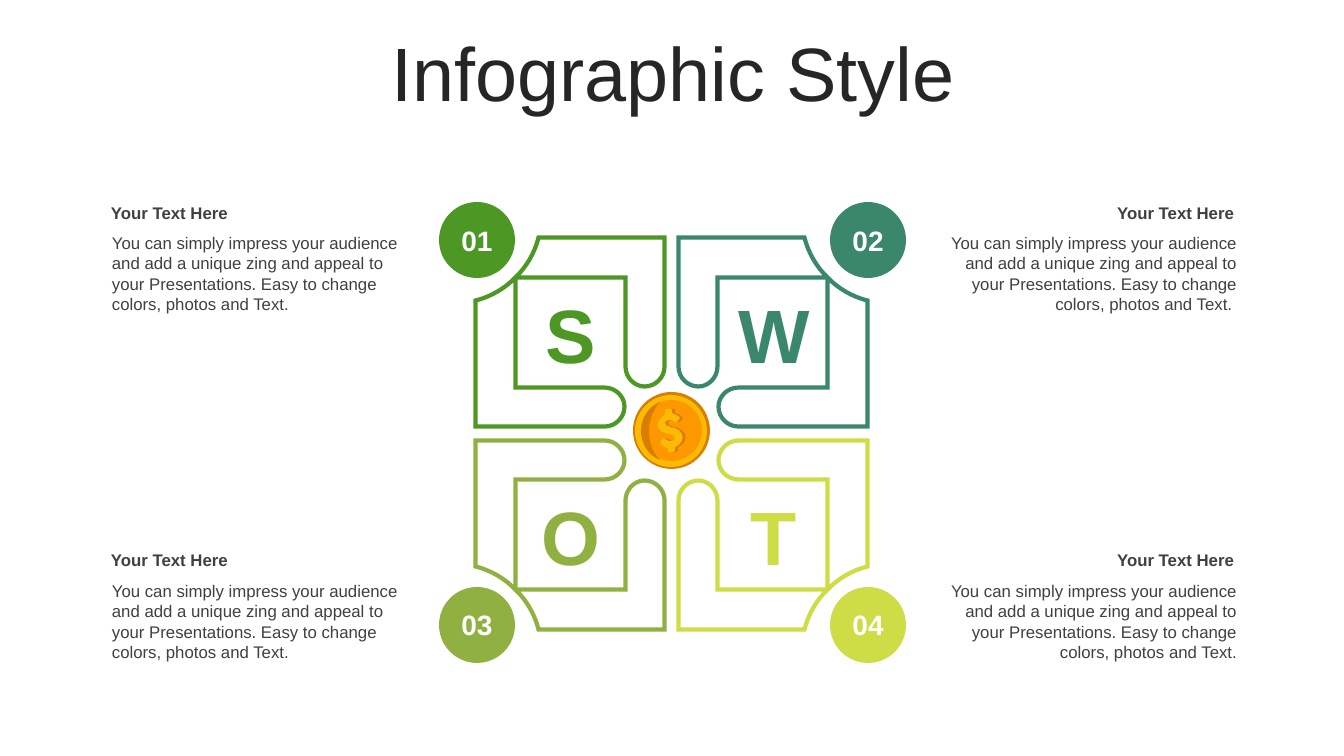
from lxml.etree import SubElement
from pptx import Presentation
from pptx.dml.color import RGBColor
from pptx.enum.shapes import MSO_SHAPE
from pptx.enum.text import MSO_ANCHOR, PP_ALIGN
from pptx.oxml.ns import qn
from pptx.util import Pt

PX = 914400 / 100.8
GREEN, TEAL, OLIVE, LIME = "4D9724", "3A876B", "90B141", "CEDD46"
DARK_GOLD, GOLD, ORANGE = "DA7D00", "FBBA03", "FD9801"
BODY = ("You can simply impress your audience and add a unique zing and appeal "
        "to your Presentations. Easy to change colors, photos and Text.")

prs = Presentation()
prs.slide_width, prs.slide_height = round(1344 * PX), round(756 * PX)
s = prs.slides.add_slide(prs.slide_layouts[6])


def add_text(box, text, size, color, bold=False, align=PP_ALIGN.CENTER,
             anchor=MSO_ANCHOR.TOP, wrap=True):
    left, top, width, height = (round(n * PX) for n in box)
    tf = s.shapes.add_textbox(left, top, width, height).text_frame
    tf.word_wrap = wrap
    tf.vertical_anchor = anchor
    p = tf.paragraphs[0]
    p.alignment = align
    r = p.add_run()
    r.text = text
    r.font.name = "Arial"
    r.font.size = Pt(size)
    r.font.bold = bold
    r.font.color.rgb = RGBColor.from_string(color)
    return p


def add_outline(contours, fill, line=None):
    builder = None
    for contour in contours:
        points = [(round(x * PX), round(y * PX)) for seg in contour for x, y in seg]
        if builder is None:
            builder = s.shapes.build_freeform(*points[0])
        else:
            builder.move_to(*points[0])
        builder.add_line_segments(points[1:], close=True)
    sp = builder.convert_to_shape()
    path = next(sp._element.iter(qn("a:path")))
    steps = iter([step for step in path if step.tag != qn("a:close")])
    for seg in (seg for contour in contours for seg in contour):
        first = next(steps)
        if len(seg) == 3:
            first.tag = qn("a:cubicBezTo")
            for step in (next(steps), next(steps)):
                first.append(step[0])
                path.remove(step)
    sp.shadow.inherit = False
    sp.fill.solid()
    sp.fill.fore_color.rgb = RGBColor.from_string(fill)
    if line is None:
        sp.line.fill.background()
    else:
        sp.line.color.rgb = RGBColor.from_string(line)
        sp.line.width = Pt(3)
        SubElement(sp.line._ln, qn("a:miter"), lim="800000")


title = add_text((35, 37, 1276, 80), "Infographic Style", 54, "262626",
                 anchor=MSO_ANCHOR.MIDDLE)
title.line_spacing = 0.9

discs = [
    (439, 202, 76, GREEN), (830, 202, 76, TEAL),
    (439, 587, 76, OLIVE), (830, 587, 76, LIME),
    (633, 392, 77, DARK_GOLD), (635, 395, 72, GOLD), (641, 400, 61, ORANGE),
]
for x, y, size, color in discs:
    disc = s.shapes.add_shape(MSO_SHAPE.OVAL, *(round(n * PX) for n in (x, y, size, size)))
    disc.shadow.inherit = False
    disc.fill.solid()
    disc.fill.fore_color.rgb = RGBColor.from_string(color)
    disc.line.fill.background()

blade = [
    [(7, 196)], [(7, 67)],
    [(7, 56), (16, 47), (27, 47)], [(37, 47), (46, 56), (46, 67)],
    [(46, 156)], [(156, 156)],
    [(145, 167), (137, 180), (133, 196)],
]
mirrored_blade = [[(v, u) for u, v in seg] for seg in blade]

quadrants = [
    ("01", "S", GREEN, -1, -1, BODY), ("02", "W", TEAL, 1, -1, BODY + " "),
    ("03", "O", OLIVE, -1, 1, BODY), ("04", "T", LIME, 1, 1, BODY),
]
for number, letter, color, side, level, body in quadrants:
    frame = [[[(671.5 + side * u, 433.5 + level * v) for u, v in seg] for seg in half]
             for half in (blade, mirrored_blade)]
    add_outline(frame, "FFFFFF", color)

    right, bottom = side > 0, level > 0
    add_text((835 if right else 444, 603 if bottom else 219, 66, 44), number, 20,
             "FFFFFF", bold=True)
    add_text((729 if right else 526, 484 if bottom else 282, 90, 102), letter, 54,
             color, bold=True, anchor=MSO_ANCHOR.MIDDLE, wrap=False)

    align = PP_ALIGN.RIGHT if right else PP_ALIGN.LEFT
    add_text((938 if right else 101, 545 if bottom else 198, 306, 30),
             "Your Text Here", 12, "404040", bold=True, align=align)
    add_text((939 if right else 102, 576 if bottom else 228, 308, 92), body, 12,
             "404040", align=align)

dollar = [
    [(19, 40)],
    [(19, 38), (19, 38), (21, 37)], [(25, 35), (28, 30), (26, 25)],
    [(25, 22), (22, 21), (19, 19)], [(17, 19), (14, 18), (12, 17)],
    [(11, 17), (9, 16), (9, 14)], [(9, 13), (10, 12), (12, 11)],
    [(14, 10), (16, 11), (17, 12)], [(19, 14), (20, 14), (22, 12)],
    [(24, 9), (25, 9), (22, 7)], [(21, 6), (19, 5), (18, 5)],
    [(17, 5), (16, 4), (16, 3)], [(16, 1), (16, 0), (15, 0)], [(13, 0)],
    [(9, 0), (9, 0), (9, 4)], [(9, 5), (9, 6), (8, 6)],
    [(7, 6), (6, 7), (6, 8)], [(1, 12), (0, 18), (5, 22)],
    [(7, 24), (10, 24), (13, 25)], [(18, 25), (19, 28), (19, 30)],
    [(18, 31), (17, 32), (16, 32)], [(13, 33), (12, 32), (11, 31)],
    [(9, 30), (7, 28), (5, 32)], [(4, 34), (4, 35), (6, 36)],
    [(7, 37), (8, 37), (9, 38)], [(12, 39), (12, 39), (12, 41)],
    [(12, 43), (12, 43), (13, 43)], [(14, 44), (16, 43), (17, 43)],
    [(19, 43), (19, 42), (19, 40)],
]
crescent = [
    [(660, 402)], [(649, 406), (641, 418), (641, 431)],
    [(641, 444), (649, 456), (660, 460)],
    [(653, 453), (649, 443), (649, 431)], [(649, 420), (653, 410), (660, 402)],
]
dollar_shadow, dollar_face = (
    [[(left + x, 409 + y) for x, y in seg] for seg in dollar] for left in (659, 656))
add_outline([dollar_shadow], DARK_GOLD)
add_outline([crescent], DARK_GOLD)
add_outline([dollar_face], GOLD)

prs.save("out.pptx")
